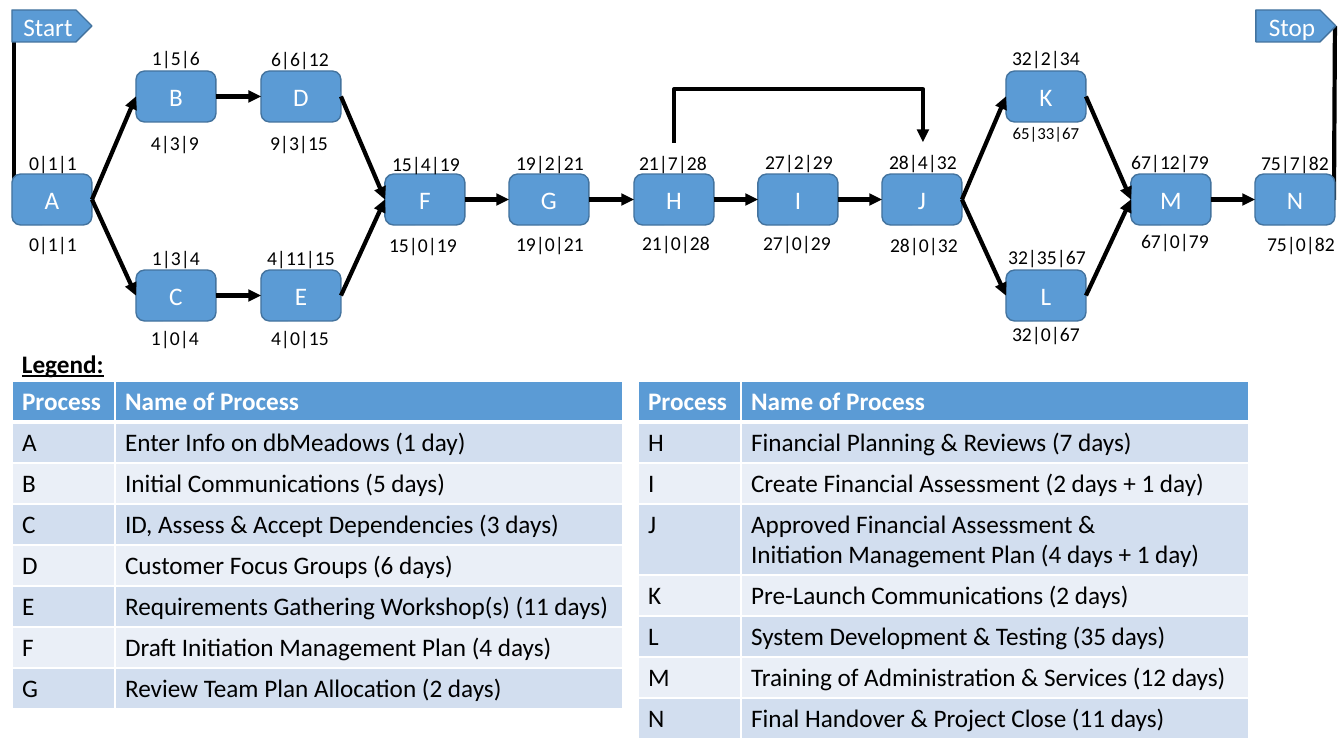
import dataclasses

import lxml.etree
import pptx
import pptx.dml.color
import pptx.enum.shapes
import pptx.enum.text
import pptx.oxml
import pptx.oxml.ns
import pptx.util

SCALE = 914400 / 100.8
FONT = "Calibri"
BLUE, OUTLINE, WHITE, BLACK = "5B9BD5", "43739E", "FFFFFF", "000000"
BANDS = ("D2DEEF", "EAEFF7")
NODE_W, NODE_H = 80, 51
FIRST_LEFT, COLUMN_STEP = 12, 124.3
LANE_TOPS = (71, 174, 270)
LABEL_W, LABEL_H = 86, 34
ROW_H, TALL_ROW_H = 41, 71
COLUMN_WIDTHS = (103, 508)
TABLE_TOP = 381
LEFT_SITE, RIGHT_SITE = 1, 3
SHAPES = pptx.enum.shapes.MSO_SHAPE
CONNECTORS = pptx.enum.shapes.MSO_CONNECTOR
CENTER = pptx.enum.text.PP_ALIGN.CENTER


@dataclasses.dataclass(frozen=True)
class Label:
    text: str
    center: int
    top: int
    size: int = 14


@dataclasses.dataclass(frozen=True)
class Process:
    letter: str
    column: int
    lane: int
    early: Label
    late: Label

    @property
    def left(self) -> int:
        return round(FIRST_LEFT + COLUMN_STEP * self.column)


@dataclasses.dataclass(frozen=True)
class Legend:
    left: int
    rows: tuple[tuple[str, str], ...]


PROCESSES = (
    Process("A", 0, 1, Label("0|1|1", 53, 146), Label("0|1|1", 53, 227)),
    Process("B", 1, 0, Label("1|5|6", 176, 41), Label("4|3|9", 175, 126)),
    Process("C", 1, 2, Label("1|3|4", 176, 241), Label("1|0|4", 175, 321)),
    Process("D", 2, 0, Label("6|6|12", 300, 42), Label("9|3|15", 299, 126)),
    Process("E", 2, 2, Label("4|11|15", 301, 241), Label("4|0|15", 300, 321)),
    Process("F", 3, 1, Label("15|4|19", 426, 147), Label("15|0|19", 423, 228)),
    Process("G", 4, 1, Label("19|2|21", 550, 146), Label("19|0|21", 550, 227)),
    Process("H", 5, 1, Label("21|7|28", 673, 146), Label("21|0|28", 676, 226)),
    Process("I", 6, 1, Label("27|2|29", 799, 145), Label("27|0|29", 797, 226)),
    Process("J", 7, 1, Label("28|4|32", 923, 145), Label("28|0|32", 924, 228)),
    Process("K", 8, 0, Label("32|2|34", 1046, 41), Label("65|33|67", 1046, 118, 12)),
    Process("L", 8, 2, Label("32|35|67", 1047, 240), Label("32|0|67", 1046, 317)),
    Process("M", 9, 1, Label("67|12|79", 1170, 145), Label("67|0|79", 1175, 224)),
    Process("N", 10, 1, Label("75|7|82", 1295, 146), Label("75|0|82", 1301, 227)),
)
DEPENDENCIES = "AB AC BD CE DF EF FG GH HI IJ JK JL KM LM MN".split()
LEGENDS = (
    Legend(12, (
        ("A", "Enter Info on dbMeadows (1 day)"),
        ("B", "Initial Communications (5 days)"),
        ("C", "ID, Assess & Accept Dependencies (3 days)"),
        ("D", "Customer Focus Groups (6 days)"),
        ("E", "Requirements Gathering Workshop(s) (11 days)"),
        ("F", "Draft Initiation Management Plan (4 days)"),
        ("G", "Review Team Plan Allocation (2 days)"),
    )),
    Legend(638, (
        ("H", "Financial Planning & Reviews (7 days)"),
        ("I", "Create Financial Assessment (2 days + 1 day)"),
        ("J", "Approved Financial Assessment &\nInitiation Management Plan (4 days + 1 day)"),
        ("K", "Pre-Launch Communications (2 days)"),
        ("L", "System Development & Testing (35 days)"),
        ("M", "Training of Administration & Services (12 days)"),
        ("N", "Final Handover & Project Close (11 days)"),
    )),
)


def px(length: float) -> int:
    return round(length * SCALE)


def color(value: str) -> pptx.dml.color.RGBColor:
    return pptx.dml.color.RGBColor.from_string(value)


def write(frame, text: str, size: int, ink: str, bold=False, underline=False, align=None) -> None:
    frame.text = text
    for paragraph in frame.paragraphs:
        paragraph.alignment = align
        for run in paragraph.runs:
            run.font.name = FONT
            run.font.size = pptx.util.Pt(size)
            run.font.bold = bold
            run.font.underline = underline
            run.font.color.rgb = color(ink)


def add_box(slide, kind, text: str, left: int, top: int, height: int):
    box = slide.shapes.add_shape(kind, px(left), px(top), px(NODE_W), px(height))
    box.shadow.inherit = False
    box.fill.solid()
    box.fill.fore_color.rgb = color(BLUE)
    box.line.color.rgb = color(OUTLINE)
    box.line.width = pptx.util.Pt(1)
    write(box.text_frame, text, 18, WHITE, align=CENTER)
    box.text_frame.word_wrap = False
    box.text_frame.vertical_anchor = pptx.enum.text.MSO_ANCHOR.MIDDLE
    return box


def add_line(slide, kind, start: tuple[int, int], end: tuple[int, int], arrow: bool):
    line = slide.shapes.add_connector(kind, *map(px, start + end))
    line.line.color.rgb = color(BLACK)
    line.line.width = pptx.util.Pt(3)
    if arrow:
        tail = lxml.etree.SubElement(line.line._get_or_add_ln(), pptx.oxml.ns.qn("a:tailEnd"))
        tail.set("type", "triangle")
    lxml.etree.SubElement(line._element.spPr, pptx.oxml.ns.qn("a:effectLst"))
    return line


def add_bypass(slide) -> None:
    bypass = add_line(slide, CONNECTORS.ELBOW, (799, 267), (798, 18), True)
    properties = bypass._element.spPr
    properties.find(pptx.oxml.ns.qn("a:xfrm")).set("rot", "5400000")
    adjustments = properties.find(".//" + pptx.oxml.ns.qn("a:avLst"))
    guide = lxml.etree.SubElement(adjustments, pptx.oxml.ns.qn("a:gd"))
    guide.set("name", "adj1")
    guide.set("fmla", "val 5400000")


def add_label(slide, label: Label) -> None:
    box = slide.shapes.add_textbox(
        px(label.center - LABEL_W / 2), px(label.top), px(LABEL_W), px(LABEL_H))
    frame = box.text_frame
    frame.word_wrap = True
    frame.margin_left = frame.margin_right = 0
    write(frame, label.text, label.size, BLACK, align=CENTER)


def set_border(cell, side: str, points: int) -> None:
    border = pptx.oxml.parse_xml(
        f'<a:{side} {pptx.oxml.ns.nsdecls("a")} w="{pptx.util.Pt(points)}">'
        f'<a:solidFill><a:srgbClr val="{WHITE}"/></a:solidFill></a:{side}>')
    cell._tc.get_or_add_tcPr().append(border)


def add_legend(slide, legend: Legend) -> None:
    rows = (("Process", "Name of Process"),) + legend.rows
    heights = [TALL_ROW_H if "\n" in name else ROW_H for _, name in rows]
    table = slide.shapes.add_table(
        len(rows), len(COLUMN_WIDTHS), px(legend.left), px(TABLE_TOP),
        px(sum(COLUMN_WIDTHS)), px(sum(heights))).table
    for column, width in zip(table.columns, COLUMN_WIDTHS):
        column.width = px(width)
    for index, (texts, height) in enumerate(zip(rows, heights)):
        header = index == 0
        table.rows[index].height = px(height)
        for cell, text in zip(table.rows[index].cells, texts):
            for side in ("lnL", "lnR", "lnT", "lnB"):
                thick = (header and side == "lnB") or (index == 1 and side == "lnT")
                set_border(cell, side, 3 if thick else 1)
            cell.fill.solid()
            cell.fill.fore_color.rgb = color(BLUE if header else BANDS[(index - 1) % 2])
            write(cell.text_frame, text, 18, WHITE if header else BLACK, bold=header)


def main() -> None:
    deck = pptx.Presentation()
    deck.slide_width, deck.slide_height = px(1344), px(756)
    slide = deck.slides.add_slide(deck.slide_layouts[6])

    add_line(slide, CONNECTORS.STRAIGHT, (14, 42), (14, 200), False)
    add_line(slide, CONNECTORS.STRAIGHT, (1334, 200), (1335, 26), False)
    add_box(slide, SHAPES.PENTAGON, "Start", 12, 10, 32)
    add_box(slide, SHAPES.PENTAGON, "Stop", 1256, 10, 32)

    nodes = {
        process.letter: add_box(slide, SHAPES.ROUNDED_RECTANGLE, process.letter,
                                process.left, LANE_TOPS[process.lane], NODE_H)
        for process in PROCESSES
    }
    for before, after in DEPENDENCIES:
        arrow = add_line(slide, CONNECTORS.STRAIGHT, (0, 0), (0, 0), True)
        arrow.begin_connect(nodes[before], RIGHT_SITE)
        arrow.end_connect(nodes[after], LEFT_SITE)
    add_bypass(slide)

    heading = slide.shapes.add_textbox(px(12), px(343), px(1234), px(71))
    heading.text_frame.word_wrap = True
    write(heading.text_frame, "Legend:", 18, BLACK, bold=True, underline=True)
    for legend in LEGENDS:
        add_legend(slide, legend)
    for process in PROCESSES:
        add_label(slide, process.early)
        add_label(slide, process.late)
    deck.save("out.pptx")


main()
